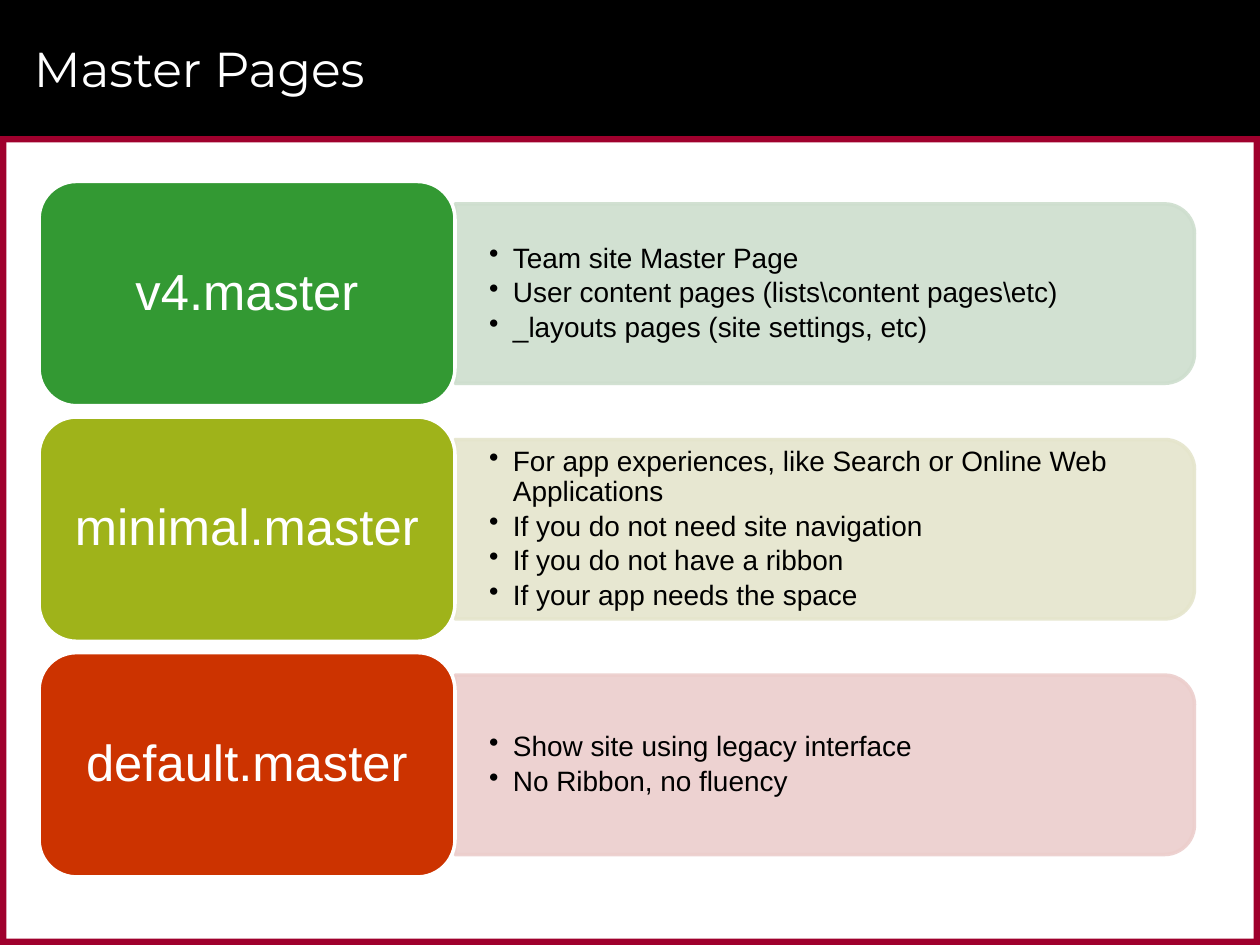
from lxml.etree import SubElement as Sub
from pptx import Presentation
from pptx.dml.color import RGBColor as RGB
from pptx.enum.shapes import MSO_SHAPE as Kind
from pptx.enum.text import MSO_ANCHOR as Anchor, PP_ALIGN as Align
from pptx.oxml.ns import qn
from pptx.util import Inches, Pt

COLS, ROWS = 100, 75
HEX = {
    "bar": "000000", "edge": "9F002D", "light": "FFFFFF", "dark": "000000",
    "green": "339933", "mint": "CEDECE",
    "olive": "9FB31A", "cream": "E5E5CC",
    "red": "CC3300", "pink": "ECCECC",
}
HEAD = {"font": {"name": "Montserrat", "size": Pt(28)}, "ink": "light",
        "para": {"alignment": Align.LEFT}, "pad": (1, 0.5)}
LABEL = {"font": {"name": "Arial", "size": Pt(29)}, "ink": "light",
         "para": {"alignment": Align.CENTER, "line_spacing": 0.9},
         "pad": (1.2, 0.6)}
LIST = {"font": {"name": "Arial", "size": Pt(16)}, "ink": "dark",
        "para": {"alignment": Align.LEFT, "line_spacing": 0.9,
                 "space_after": Pt(2.5)},
        "pad": (2.7, 1.4), "mark": 1.9}
PAGES = [
    ("v4.master", "green", "mint", [
        "Team site Master Page",
        "User content pages (lists\\content pages\\etc)",
        "_layouts pages (site settings, etc)"]),
    ("minimal.master", "olive", "cream", [
        "For app experiences, like Search or Online Web Applications",
        "If you do not need site navigation",
        "If you do not have a ribbon",
        "If your app needs the space"]),
    ("default.master", "red", "pink", [
        "Show site using legacy interface",
        "No Ribbon, no fluency"]),
]


def unit(n):
    """Turn grid units into a length."""
    return Inches(n * 10 / COLS)


def apply(item, vals):
    """Set each attribute of an item from a dict."""
    for key, val in vals.items():
        setattr(item, key, val)


def paint(fill, tone):
    """Make a fill solid in a named colour."""
    fill.solid()
    fill.fore_color.rgb = RGB.from_string(HEX[tone])


def block(slide, kind, box, tone, rim=None):
    """Add a filled shape with an optional rim."""
    form = slide.shapes.add_shape(kind, *map(unit, box))
    form.shadow.inherit = False
    paint(form.fill, tone)
    if rim:
        paint(form.line.fill, rim)
        form.line.width = Pt(2)
    else:
        form.line.fill.background()
    return form


def write(slide, box, lines, look):
    """Add a text box with one paragraph per line."""
    frame = slide.shapes.add_textbox(*map(unit, box)).text_frame
    side, end = map(unit, look["pad"])
    apply(frame, {"word_wrap": True, "vertical_anchor": Anchor.MIDDLE,
                  "margin_left": side, "margin_right": side,
                  "margin_top": end, "margin_bottom": end})
    for i, line in enumerate(lines):
        para = frame.paragraphs[0] if i == 0 else frame.add_paragraph()
        apply(para, look["para"])
        if "mark" in look:
            bullet(para, unit(look["mark"]))
        run = para.add_run()
        run.text = line
        apply(run.font, look["font"])
        run.font.color.rgb = RGB.from_string(HEX[look["ink"]])


def bullet(para, gap):
    """Give a paragraph a round bullet and a hanging indent."""
    props = para._p.get_or_add_pPr()
    props.set("marL", str(gap))
    props.set("indent", str(-gap))
    Sub(props, qn("a:buChar")).set("char", "•")


def header(slide, box):
    """Draw the title bar."""
    x, y, w, h = box
    block(slide, Kind.RECTANGLE, box, "bar")
    write(slide, (x + 1.7, y + 0.8, w - 5.8, h - 1.6), ["Master Pages"], HEAD)


def border(slide, box):
    """Draw four thin edges inside a box."""
    x, y, w, h = box
    t = 0.5
    for edge in [(x, y, w, t), (x, y + h - t, w, t),
                 (x + w - t, y, t, h), (x, y, t, h)]:
        block(slide, Kind.RECTANGLE, edge, "edge")


def panel(slide, box, tone, lines):
    """Draw a strip rounded on its right side, with a list."""
    x, y, w, h = box
    turned = (x + (w - h) / 2, y + (h - w) / 2, h, w)
    strip = block(slide, Kind.ROUND_2_SAME_RECTANGLE, turned, tone, tone)
    strip.rotation = 90
    for hue in strip.element.spPr.iter(qn("a:srgbClr")):
        Sub(hue, qn("a:alpha")).set("val", "90000")
    write(slide, (x, y + 0.7, w - 0.7, h - 1.4), lines, LIST)


def row(slide, box, page):
    """Draw one master page: its label and its panel."""
    name, tone, tint, lines = page
    x, y, w, h = box
    left = w * 0.36
    panel(slide, (x + left, y + h * 0.1, w - left, h * 0.8), tint, lines)
    block(slide, Kind.ROUNDED_RECTANGLE, (x, y, left, h), tone, "light")
    write(slide, (x + 0.85, y + 0.85, left - 1.7, h - 1.7), [name], LABEL)


def rows(slide, box):
    """Stack the master pages at equal gaps."""
    x, y, w, h = box
    gap = 0.9
    high = (h - gap * (len(PAGES) - 1)) / len(PAGES)
    for i, page in enumerate(PAGES):
        row(slide, (x, y + i * (high + gap), w, high), page)


def main():
    """Build and save the slide."""
    deck = Presentation()
    apply(deck, {"slide_width": unit(COLS), "slide_height": unit(ROWS)})
    slide = deck.slides.add_slide(deck.slide_layouts[6])
    top = 10.8
    header(slide, (0, 0, COLS, top))
    border(slide, (0, top, COLS, ROWS - top))
    rows(slide, (3.1, 14.4, 91.7, 55.2))
    deck.save("out.pptx")


if __name__ == "__main__":
    main()
